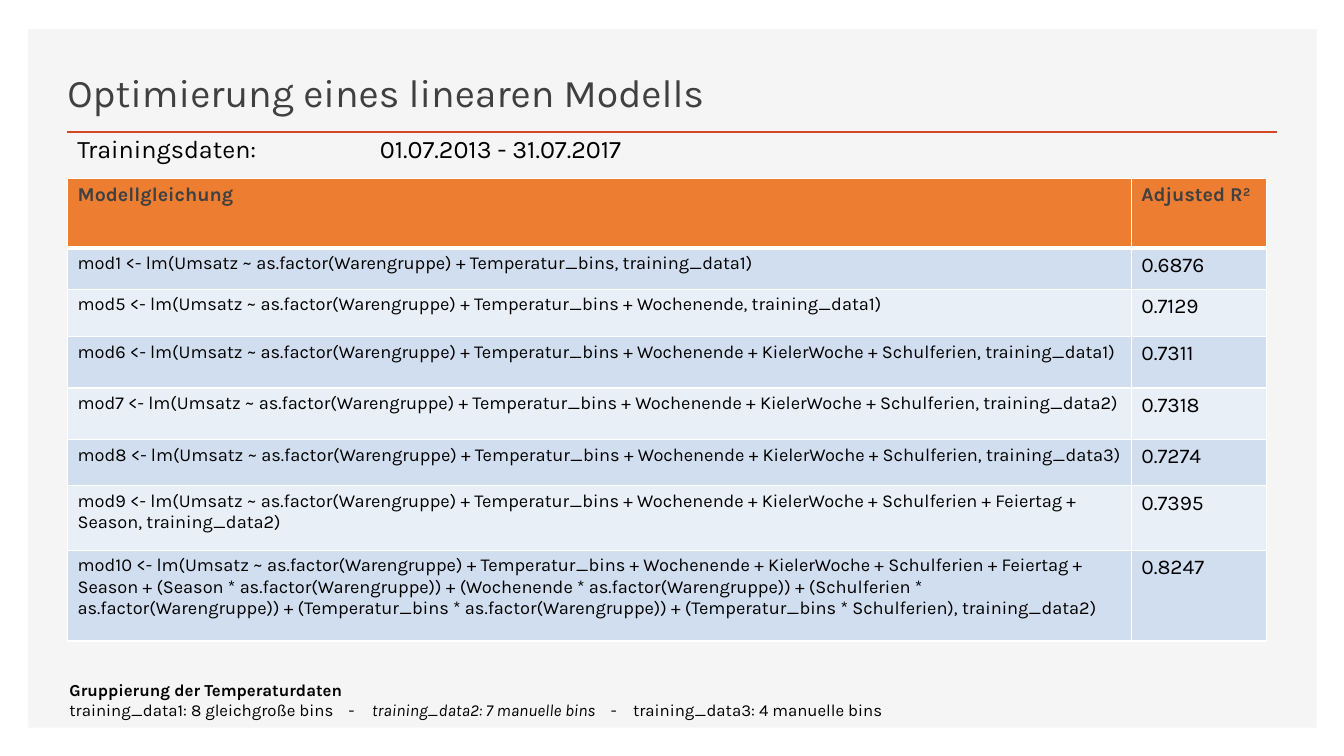
from dataclasses import dataclass

from lxml import etree
from pptx import Presentation
from pptx.dml.color import RGBColor
from pptx.enum.shapes import MSO_CONNECTOR, MSO_SHAPE
from pptx.enum.text import MSO_ANCHOR
from pptx.oxml.ns import qn
from pptx.util import Inches, Pt

RECTANGLE = MSO_SHAPE.RECTANGLE
STRAIGHT = MSO_CONNECTOR.STRAIGHT
TOP, BOTTOM = MSO_ANCHOR.TOP, MSO_ANCHOR.BOTTOM


@dataclass(frozen=True)
class Theme:
    font: str = "Karla"
    panel: str = "F5F5F5"
    accent: str = "D24726"
    heading: str = "404040"
    body: str = "000000"
    header_fill: str = "ED7D31"
    bands: tuple = ("D1DEEF", "E9EFF7")
    border: str = "FFFFFF"
    title_size: int = 28
    period_size: int = 18
    header_size: int = 14
    formula_size: int = 13
    score_size: int = 15
    note_size: int = 12
    rule_width: float = 2
    border_width: float = 0.96
    header_border_width: float = 3


BASE = ["as.factor(Warengruppe)", "Temperatur_bins"]
WEEKEND = BASE + ["Wochenende"]
HOLIDAYS = WEEKEND + ["KielerWoche", "Schulferien"]
SEASONAL = HOLIDAYS + ["Feiertag", "Season"]
INTERACTIONS = [
    f"({term} * as.factor(Warengruppe))"
    for term in ("Season", "Wochenende", "Schulferien", "Temperatur_bins")
] + ["(Temperatur_bins * Schulferien)"]

# model, terms, training set, adjusted R², row height
MODELS = [
    ("mod1", BASE, 1, "0.6876", 0.41),
    ("mod5", WEEKEND, 1, "0.7129", 0.47),
    ("mod6", HOLIDAYS, 1, "0.7311", 0.51),
    ("mod7", HOLIDAYS, 2, "0.7318", 0.51),
    ("mod8", HOLIDAYS, 3, "0.7274", 0.46),
    ("mod9", SEASONAL, 2, "0.7395", 0.64),
    ("mod10", SEASONAL + INTERACTIONS, 2, "0.8247", 0.9),
]
HEADER_HEIGHT = 0.69
COLUMN_WIDTHS = (10.55, 1.34)


def formula(model, terms, training_set):
    return f"{model} <- lm(Umsatz ~ {' + '.join(terms)}, training_data{training_set})"


class SlideBuilder:
    def __init__(self, slide, theme):
        self.slide = slide
        self.theme = theme

    def style_run(self, run, size, color, bold=False, italic=False):
        font = run.font
        font.name = self.theme.font
        font.size = Pt(size)
        font.color.rgb = RGBColor.from_string(color)
        font.bold = bold
        font.italic = italic

    def panel(self, left, top, width, height):
        panel = self.slide.shapes.add_shape(
            RECTANGLE, Inches(left), Inches(top), Inches(width), Inches(height))
        panel.shadow.inherit = False
        panel.fill.solid()
        panel.fill.fore_color.rgb = RGBColor.from_string(self.theme.panel)
        panel.line.fill.background()

    def rule(self, left, right, y):
        rule = self.slide.shapes.add_connector(
            STRAIGHT, Inches(left), Inches(y), Inches(right), Inches(y))
        rule.line.color.rgb = RGBColor.from_string(self.theme.accent)
        rule.line.width = Pt(self.theme.rule_width)
        etree.SubElement(rule._element.spPr, qn("a:effectLst"))

    def text(self, box, paragraphs, size, color, anchor=TOP, space_after=0, tabs=()):
        """Place paragraphs, each a list of (text, bold, italic) runs."""
        frame = self.slide.shapes.add_textbox(*map(Inches, box)).text_frame
        frame.word_wrap = True
        frame.vertical_anchor = anchor
        for index, runs in enumerate(paragraphs):
            paragraph = frame.add_paragraph() if index else frame.paragraphs[0]
            paragraph.space_after = Pt(space_after)
            if tabs:
                self.tab_stops(paragraph, tabs)
            for content, bold, italic in runs:
                run = paragraph.add_run()
                run.text = content
                self.style_run(run, size, color, bold, italic)

    def tab_stops(self, paragraph, positions):
        stops = etree.SubElement(paragraph._p.get_or_add_pPr(), qn("a:tabLst"))
        for position in positions:
            etree.SubElement(stops, qn("a:tab"), pos=str(Inches(position)), algn="l")

    def cell(self, cell, content, fill, size, color, bold=False, top=None, bottom=None):
        cell.text_frame.text = content
        self.style_run(cell.text_frame.paragraphs[0].runs[0], size, color, bold)
        cell.fill.solid()
        cell.fill.fore_color.rgb = RGBColor.from_string(fill)
        thin = self.theme.border_width
        self.cell_borders(cell, {"L": thin, "R": thin, "T": top or thin, "B": bottom or thin})

    def cell_borders(self, cell, widths):
        """Insert borders ahead of the fill, as the schema requires."""
        properties = cell._tc.get_or_add_tcPr()
        for index, (side, width) in enumerate(widths.items()):
            border = etree.Element(qn(f"a:ln{side}"), w=str(Pt(width)))
            paint = etree.SubElement(border, qn("a:solidFill"))
            etree.SubElement(paint, qn("a:srgbClr"), val=self.theme.border)
            properties.insert(index, border)

    def model_table(self, left, top):
        theme = self.theme
        heights = [HEADER_HEIGHT] + [model[-1] for model in MODELS]
        table = self.slide.shapes.add_table(
            len(heights), len(COLUMN_WIDTHS), Inches(left), Inches(top),
            Inches(sum(COLUMN_WIDTHS)), Inches(sum(heights))).table
        for column, width in zip(table.columns, COLUMN_WIDTHS):
            column.width = Inches(width)
        for row, height in zip(table.rows, heights):
            row.height = Inches(height)

        thick = theme.header_border_width
        for column, heading in enumerate(("Modellgleichung", "Adjusted R²")):
            self.cell(table.cell(0, column), heading, theme.header_fill,
                      theme.header_size, theme.heading, bold=True, bottom=thick)
        for row, (model, terms, training_set, score, _) in enumerate(MODELS, 1):
            band = theme.bands[(row - 1) % 2]
            above = thick if row == 1 else None
            self.cell(table.cell(row, 0), formula(model, terms, training_set), band,
                      theme.formula_size, theme.body, top=above)
            self.cell(table.cell(row, 1), score, band,
                      theme.score_size, theme.body, top=above)


def main():
    presentation = Presentation()
    presentation.slide_width = Inches(13.33)
    presentation.slide_height = Inches(7.5)
    theme = Theme()
    builder = SlideBuilder(
        presentation.slides.add_slide(presentation.slide_layouts[6]), theme)

    builder.panel(0.28, 0.29, 12.78, 6.93)
    builder.rule(0.66, 12.67, 1.31)
    builder.text((0.57, 0.49, 8.95, 0.7),
                 [[("Optimierung eines linearen Modells", False, False)]],
                 theme.title_size, theme.heading, anchor=BOTTOM, space_after=6)
    builder.model_table(0.67, 1.77)
    builder.text((0.67, 1.27, 7.83, 0.4),
                 [[("Trainingsdaten:\t01.07.2013 - 31.07.2017", False, False)]],
                 theme.period_size, theme.body, tabs=(3,))
    builder.text((0.59, 6.69, 11.81, 0.54), [
        [("Gruppierung der Temperaturdaten", True, False)],
        [("training_data1: 8 gleichgroße bins\t-\t", False, False),
         ("training_data2: 7 manuelle bins", False, True),
         ("\t-\ttraining_data3: 4 manuelle bins", False, False)],
    ], theme.note_size, theme.body, tabs=(2.77, 3, 5.37, 5.59))

    presentation.save("out.pptx")


if __name__ == "__main__":
    main()
